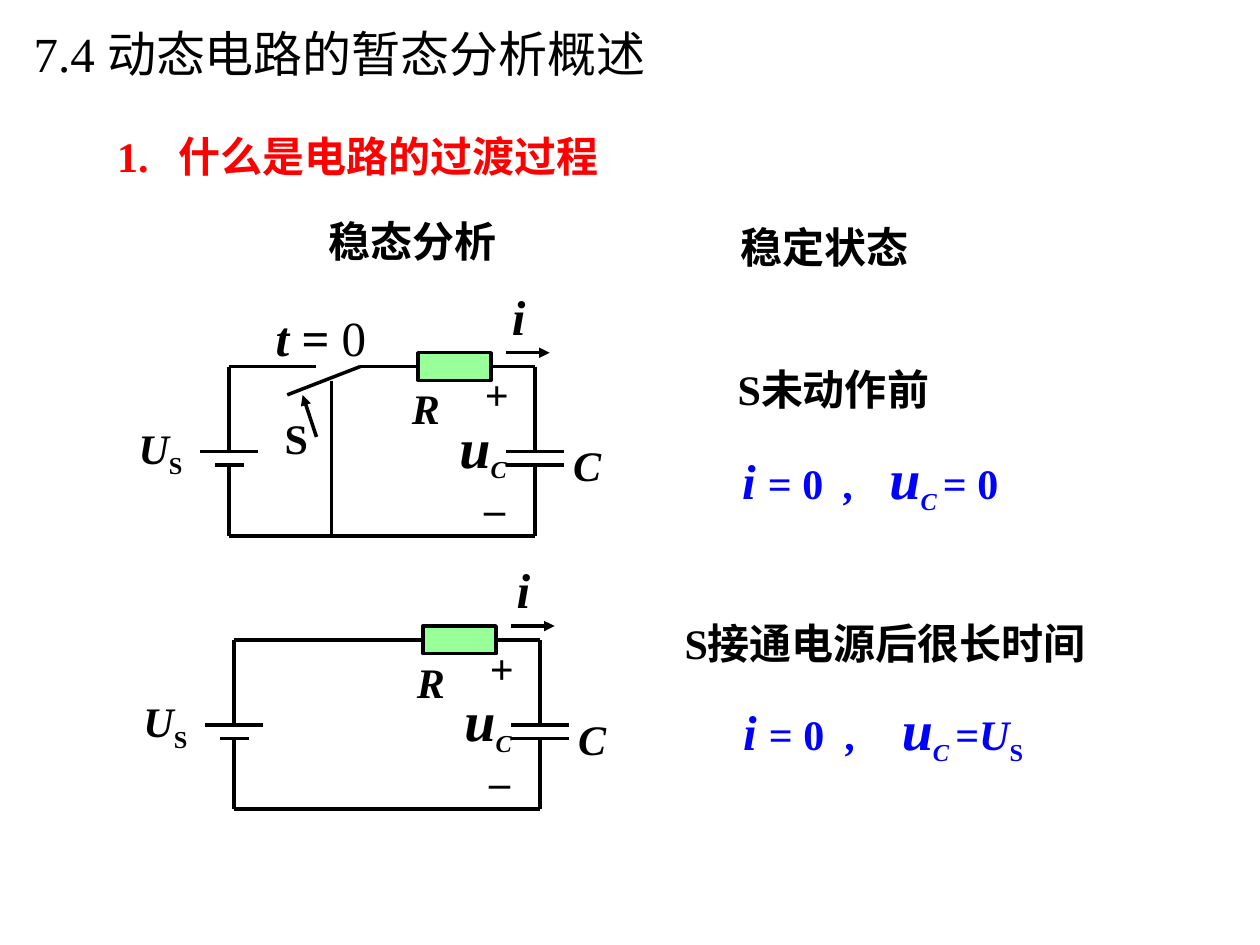
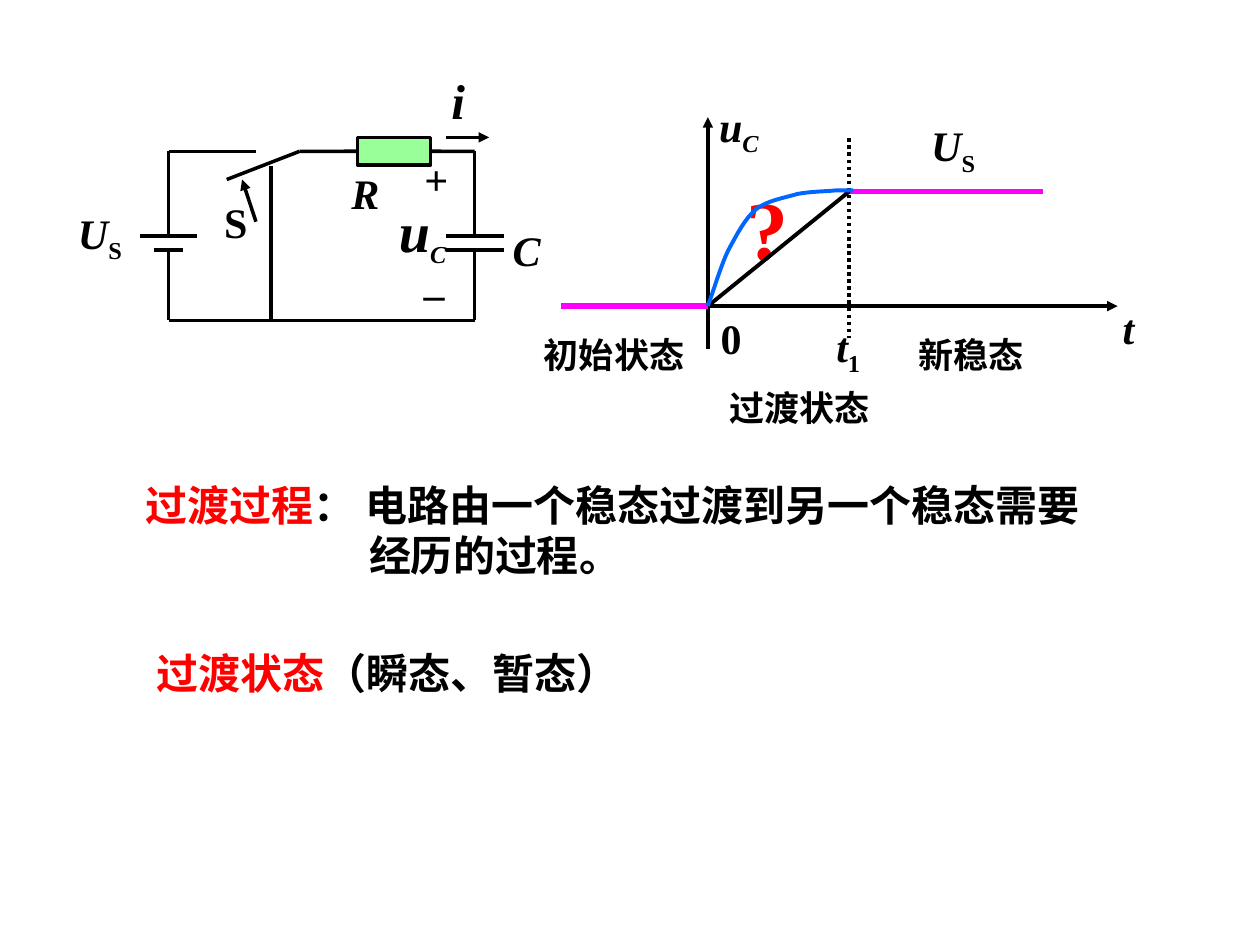
from dataclasses import dataclass

from lxml import etree
from pptx import Presentation
from pptx.dml.color import RGBColor
from pptx.enum.dml import MSO_LINE
from pptx.enum.lang import MSO_LANGUAGE_ID
from pptx.enum.shapes import MSO_CONNECTOR, MSO_SHAPE
from pptx.enum.text import MSO_ANCHOR, PP_ALIGN
from pptx.oxml.ns import qn
from pptx.util import Cm, Pt

STRAIGHT = MSO_CONNECTOR.STRAIGHT
RECTANGLE = MSO_SHAPE.RECTANGLE
DOTTED = MSO_LINE.ROUND_DOT
MIDDLE = MSO_ANCHOR.MIDDLE
LEFT, CENTER = PP_ALIGN.LEFT, PP_ALIGN.CENTER
CHINESE = MSO_LANGUAGE_ID.SIMPLIFIED_CHINESE
LEFT_SIDE, RIGHT_SIDE = 1, 3


@dataclass(frozen=True)
class Theme:
    font: str = "Times New Roman"
    black: str = "000000"
    red: str = "FF0000"
    blue: str = "0000FF"
    curve: str = "0066FF"
    steady: str = "FF00FF"
    resistor: str = "99FF99"
    caption: int = 20
    body: int = 24
    current: int = 28
    voltage: int = 32
    question: int = 48
    wire: float = 2
    trace: float = 2.25
    level: float = 3


THEME = Theme()
ITALIC = {"italic": True}
SUBSCRIPT = {"subscript": True}
ITALIC_SUBSCRIPT = {**ITALIC, **SUBSCRIPT}
CURRENT = {"size": THEME.current, **ITALIC}
VOLTAGE = {"size": THEME.voltage, **ITALIC}
RED = {"color": THEME.red}
BLUE = {"color": THEME.blue}

SOURCE_LABEL = [("U", ITALIC), ("S", SUBSCRIPT)]
VOLTAGE_LABEL = [("u", VOLTAGE), ("C", ITALIC_SUBSCRIPT)]

WIDTH, HEIGHT = 6.17, 3.41
PLATES = (1.71, 1.99)
LONG_PLATE, SHORT_PLATE = 0.58, 0.29
BRANCH_X = 2.06
SWITCH_OPEN, SWITCH_PIVOT = 1.76, 2.64

CIRCUIT_LABELS = [
    ((5.44, -1.75, 0.79, 1.45), [("i", CURRENT)]),
    ((4.9, -0.08, 0.99, 1.27), [("+", {})]),
    ((4.88, 2.21, 0.94, 1.27), [("–", {})]),
    ((4.37, 0.84, 1.5, 1.6), VOLTAGE_LABEL),
    ((-2.11, 1.07, 1.45, 1.27), SOURCE_LABEL),
    ((3.43, 0.2, 1.07, 1.27), [("R", ITALIC)]),
    ((6.68, 1.35, 1.07, 1.27), [("C", ITALIC)]),
]

ORIGIN_X, ORIGIN_Y = 14.27, 6.17
SETTLED_X, SETTLED_Y = 17.12, 3.86
CHARGING_START = (ORIGIN_X, ORIGIN_Y)
CHARGING_CURVE = [
    ((14.35, 5.97), (14.53, 5.36), (14.68, 5.05)),
    ((14.86, 4.72), (15.01, 4.42), (15.24, 4.22)),
    ((15.47, 4.04), (15.82, 3.99), (16.08, 3.91)),
    ((16.36, 3.86), (16.66, 3.86), (16.84, 3.84)),
    ((17.02, 3.84), (17.15, 3.84), (17.2, 3.84)),
]


def add_run(paragraph, text, style):
    run = paragraph.add_run()
    run.text = text
    values = {
        "name": THEME.font,
        "size": Pt(style.get("size", THEME.body)),
        "bold": style.get("bold", True),
        "italic": style.get("italic", False),
        "language_id": CHINESE,
    }
    for name, value in values.items():
        setattr(run.font, name, value)
    run.font.color.rgb = RGBColor.from_string(style.get("color", THEME.black))
    if style.get("subscript"):
        run.font._element.set("baseline", "-25000")


def add_text(slide, box, runs, align=CENTER, wrap=True, tabs=(), hanging=0):
    shape = slide.shapes.add_textbox(*map(Cm, box))
    for name, value in {"word_wrap": wrap, "vertical_anchor": MIDDLE}.items():
        setattr(shape.text_frame, name, value)
    paragraph = shape.text_frame.paragraphs[0]
    paragraph.alignment = align
    properties = paragraph._p.get_or_add_pPr()
    if hanging:
        properties.set("marL", str(Cm(hanging)))
        properties.set("indent", str(-Cm(hanging)))
    if tabs:
        tab_list = etree.SubElement(properties, qn("a:tabLst"))
        for position in tabs:
            etree.SubElement(tab_list, qn("a:tab"), pos=str(Cm(position)), algn="l")
    for text, style in runs:
        add_run(paragraph, text, style)


def add_label(slide, box, runs):
    add_text(slide, box, runs, wrap=False)


def format_line(line, color, width):
    line.color.rgb = RGBColor.from_string(color)
    line.width = Pt(width)


def add_line(slide, start, end, color=THEME.black, width=THEME.wire, arrow=False, dash=None):
    connector = slide.shapes.add_connector(STRAIGHT, *map(Cm, (*start, *end)))
    format_line(connector.line, color, width)
    if dash:
        connector.line.dash_style = dash
    if arrow:
        etree.SubElement(connector.line._get_or_add_ln(), qn("a:tailEnd"), type="triangle")
    etree.SubElement(connector._element.spPr, qn("a:effectLst"))
    return connector


def add_resistor(slide, left, top):
    shape = slide.shapes.add_shape(RECTANGLE, *map(Cm, (left, top, 1.47, 0.56)))
    shape.shadow.inherit = False
    shape.fill.solid()
    shape.fill.fore_color.rgb = RGBColor.from_string(THEME.resistor)
    format_line(shape.line, THEME.black, THEME.wire)
    return shape


def add_curve(slide, start, segments, color, steps=8):
    points = []
    previous = start
    for first, second, end in segments:
        for step in range(1, steps + 1):
            t = step / steps
            points.append(tuple(
                Cm((1 - t) ** 3 * a + 3 * t * (1 - t) ** 2 * b + 3 * t * t * (1 - t) * c + t ** 3 * d)
                for a, b, c, d in zip(previous, first, second, end)
            ))
        previous = end
    builder = slide.shapes.build_freeform(*map(Cm, start))
    builder.add_line_segments(points, close=False)
    shape = builder.convert_to_shape()
    shape.shadow.inherit = False
    shape.fill.background()
    format_line(shape.line, color, THEME.trace)


def add_circuit(slide, x, y, switched=True):
    def place(point):
        return x + point[0], y + point[1]

    def wire(start, end, arrow=False):
        return add_line(slide, place(start), place(end), arrow=arrow)

    upper, lower = PLATES
    wire((0, HEIGHT), (WIDTH, HEIGHT))
    for side, lower_half in ((0, SHORT_PLATE), (WIDTH, LONG_PLATE)):
        wire((side, 0), (side, upper))
        wire((side, lower), (side, HEIGHT))
        wire((side - LONG_PLATE, upper), (side + LONG_PLATE, upper))
        wire((side - lower_half, lower), (side + lower_half, lower))

    resistor = add_resistor(slide, *place((3.81, -0.28)))
    feed_start = SWITCH_PIVOT if switched else 0
    wire((feed_start, 0), (3.81, 0)).end_connect(resistor, LEFT_SIDE)
    wire((5.28, 0), (WIDTH, 0)).begin_connect(resistor, RIGHT_SIDE)
    wire((5.59, -0.28), (6.46, -0.28), arrow=True)

    labels = list(CIRCUIT_LABELS)
    if switched:
        wire((0, 0), (SWITCH_OPEN, 0))
        wire((SWITCH_PIVOT, 0), (1.17, 0.57))
        wire((BRANCH_X, 0.29), (BRANCH_X, HEIGHT))
        wire((SWITCH_OPEN, 1.42), (1.48, 0.57), arrow=True)
        labels.append(((0.86, 0.79, 0.99, 1.27), [("S", {})]))
    for (left, top, width, height), runs in labels:
        add_label(slide, (*place((left, top)), width, height), runs)


def add_equation(slide, box, result, tabs):
    runs = [("i ", CURRENT), ("= 0\t", {}), (",\t", ITALIC),
            ("u", VOLTAGE), ("C ", ITALIC_SUBSCRIPT), *result]
    blue_runs = [(text, {**style, **BLUE}) for text, style in runs]
    add_text(slide, box, blue_runs, align=LEFT, tabs=tabs)


def build_steady_states(slide):
    add_text(slide, (0.43, 0.33, 23.93, 1.47),
             [("7.4 动态电路的暂态分析概述", {"size": THEME.current, "bold": False})], align=LEFT)
    add_text(slide, (2.11, 2.51, 10.9, 1.27), [("1.\t什么是电路的过渡过程", RED)],
             align=LEFT, tabs=(1.23,))
    for box, text in [
        ((6.1, 4.22, 4.42, 1.27), "稳态分析"),
        ((14.45, 4.34, 4.34, 1.27), "稳定状态"),
        ((14.5, 7.21, 4.6, 1.27), "S未动作前"),
        ((13.31, 12.32, 9.07, 1.27), "S接通电源后很长时间"),
    ]:
        add_text(slide, box, [(text, {})])
    add_equation(slide, (14.71, 8.86, 6, 1.6), [("= 0", {})], (2.06, 2.97))
    add_equation(slide, (14.73, 13.92, 6.5, 1.6), [("=", {}), *SOURCE_LABEL], (2.08, 3.2))

    add_circuit(slide, 4.62, 7.39)
    add_label(slide, (5.2, 6.07, 2.54, 1.45),
              [("t ", CURRENT), ("=", {"size": THEME.current}),
               (" 0", {"size": THEME.current, "bold": False})])
    add_circuit(slide, 4.72, 12.9, switched=False)


def add_response_plot(slide):
    add_line(slide, (SETTLED_X, 2.79), (SETTLED_X, 6.81), dash=DOTTED)
    add_line(slide, (12.14, ORIGIN_Y), (22.53, ORIGIN_Y), arrow=True)
    add_line(slide, (ORIGIN_X, 7.04), (ORIGIN_X, 2.36), arrow=True)
    for start, end, height in ((11.3, ORIGIN_X, ORIGIN_Y), (17.02, 21.03, SETTLED_Y)):
        add_line(slide, (start, height), (end, height), THEME.steady, THEME.level)
    for box, runs in [
        ((16.59, 6.4, 1.02, 1.27), [("t", ITALIC), ("1", SUBSCRIPT)]),
        ((18.49, 2.36, 1.45, 1.27), SOURCE_LABEL),
        ((14.22, 1.96, 1.35, 1.27), [("u", ITALIC), ("C", ITALIC_SUBSCRIPT)]),
        ((22.38, 5.97, 0.74, 1.27), [("t", ITALIC)]),
        ((14.27, 6.17, 0.94, 1.27), [("0", {})]),
    ]:
        add_label(slide, box, runs)
    add_text(slide, (14.27, 3.43, 2.41, 2.29), [("?", {"size": THEME.question, **RED})])
    add_line(slide, (ORIGIN_X, ORIGIN_Y), (SETTLED_X, SETTLED_Y), width=THEME.trace)
    add_curve(slide, CHARGING_START, CHARGING_CURVE, THEME.curve)
    for box, text in [
        ((10.46, 6.6, 3.84, 1.09), "初始状态"),
        ((14.05, 7.67, 4.14, 1.09), "过渡状态"),
        ((17.86, 6.6, 3.43, 1.09), "新稳态"),
    ]:
        add_text(slide, box, [(text, {"size": THEME.caption})])


def build_transition(slide):
    add_circuit(slide, 3.4, 3.05)
    add_response_plot(slide)
    add_text(slide, (2.69, 9.53, 20.02, 2.29),
             [("过渡过程", RED), ("： 电路由一个稳态过渡到另一个稳态需要经历的过程。", {})],
             align=LEFT, hanging=4.5)
    add_text(slide, (2.9, 12.93, 10.72, 1.27),
             [("过渡状态", RED), ("（瞬态、暂态）", {})], align=LEFT)


def main():
    presentation = Presentation()
    presentation.slide_width, presentation.slide_height = Cm(25.4), Cm(19.05)
    blank_layout = presentation.slide_layouts[6]
    for build in (build_steady_states, build_transition):
        build(presentation.slides.add_slide(blank_layout))
    presentation.save("out.pptx")


if __name__ == "__main__":
    main()
